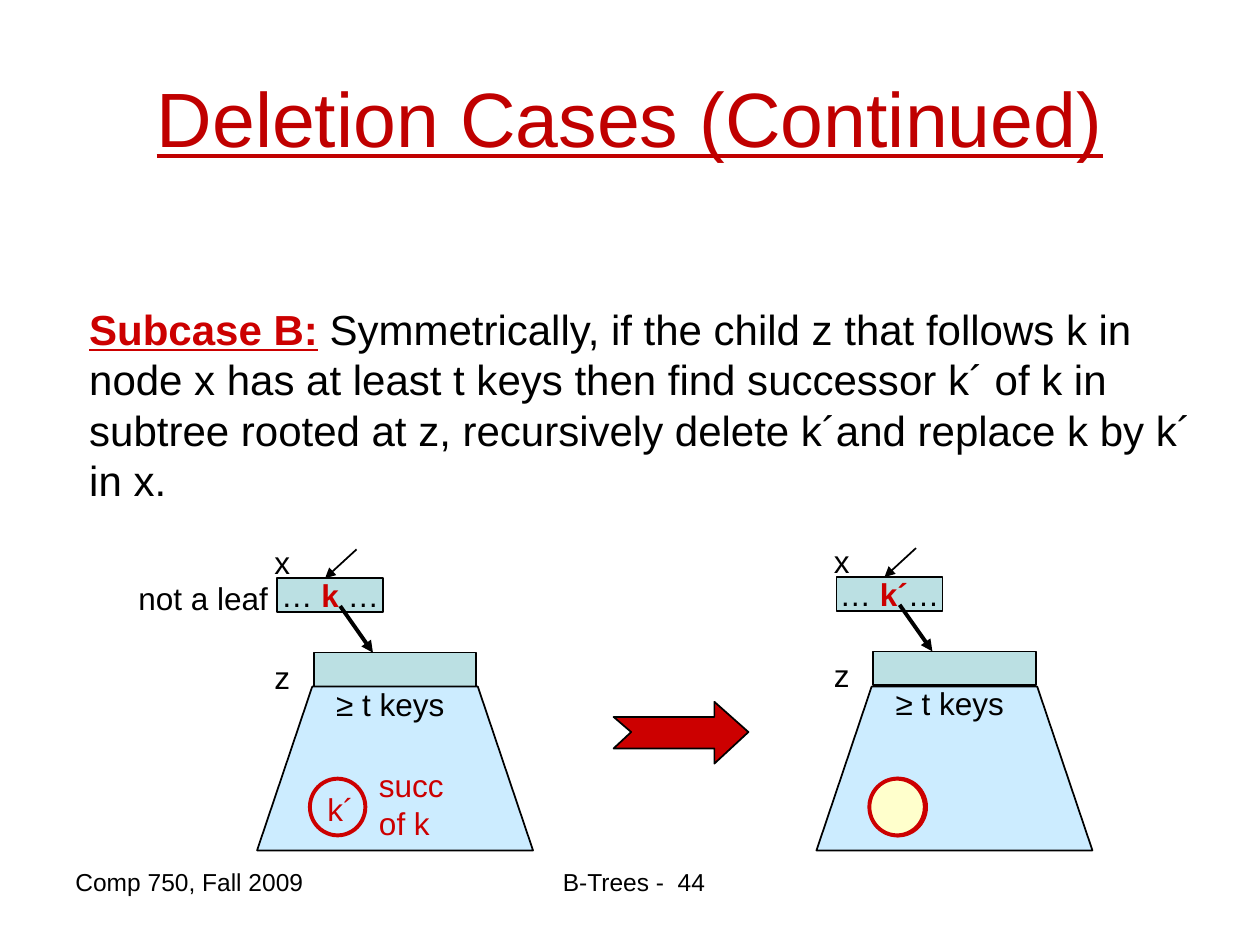
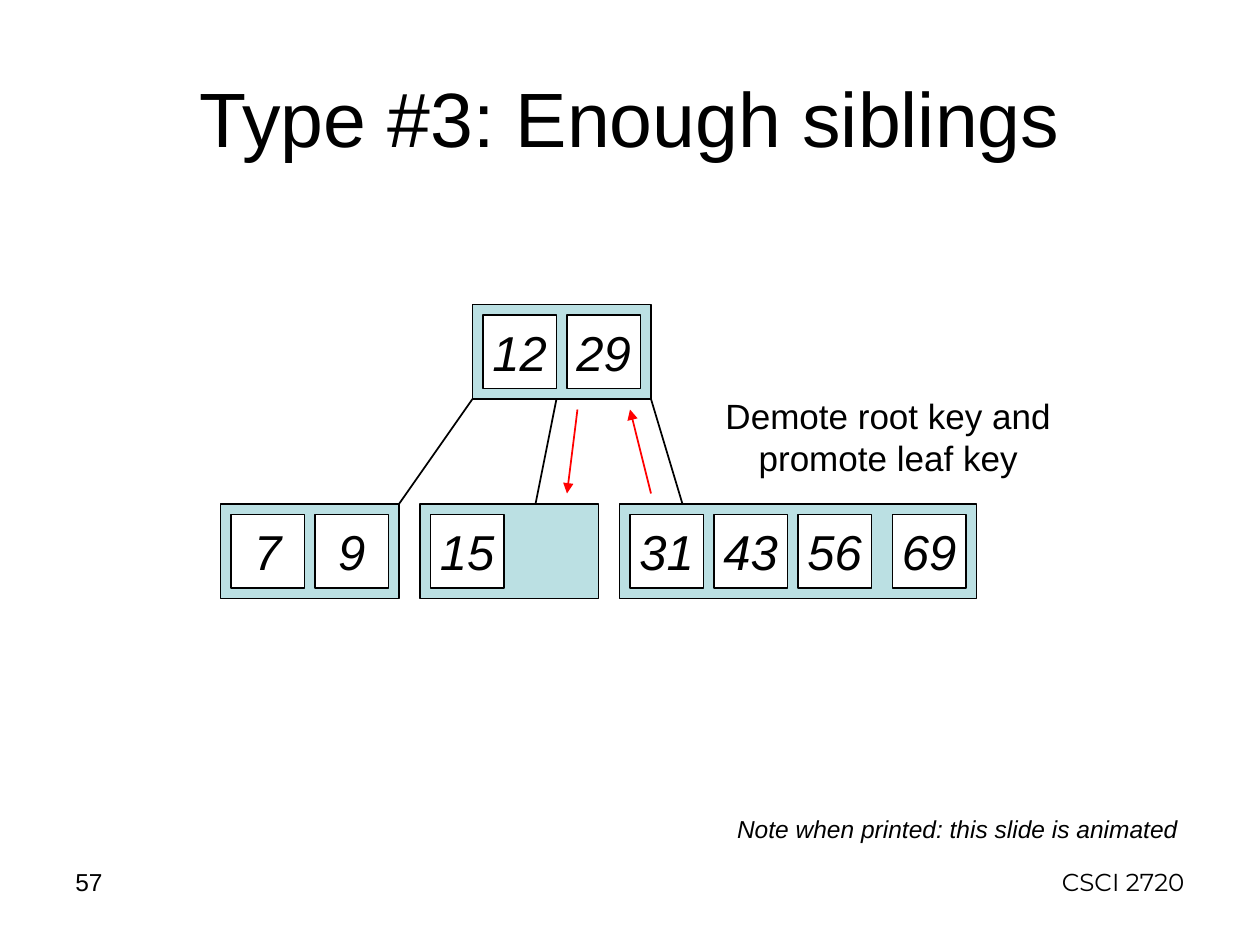
from lxml import etree
from pptx import Presentation
from pptx.dml.color import RGBColor
from pptx.enum.shapes import MSO_CONNECTOR, MSO_SHAPE
from pptx.enum.text import MSO_ANCHOR, PP_ALIGN
from pptx.oxml.ns import qn
from pptx.util import Inches, Pt

BLACK = RGBColor(0x00, 0x00, 0x00)
WHITE = RGBColor(0xFF, 0xFF, 0xFF)
CRIMSON = RGBColor(0xC0, 0x00, 0x00)
RED = RGBColor(0xCC, 0x00, 0x00)
BRIGHT = RGBColor(0xFF, 0x00, 0x00)
TEAL = RGBColor(0xBB, 0xE0, 0xE3)
SKY = RGBColor(0xCC, 0xEC, 0xFF)
CREAM = RGBColor(0xFF, 0xFF, 0xCC)
LEFT, MID, RIGHT = PP_ALIGN.LEFT, PP_ALIGN.CENTER, PP_ALIGN.RIGHT

KEY = {"color": RED, "bold": True}
CASE = [[
    ("Subcase B:", {"color": RED, "bold": True, "under": True}),
    (" Symmetrically, if the child z that follows k in node x has at least t keys "
     "then find successor k´ of k in subtree rooted at z, recursively delete k´"
     "and replace k by k´ in x.", {}),
]]
TREES = [
    (0, 0, [[(" … ", {}), ("k", KEY), (" … ", {})]]),
    (4.44, -0.01, [[(" … ", {}), ("k´", KEY), ("… ", {})]]),
]
MARKS = [
    ("x", (2.08, 4.26, 0.32, 0.4)),
    ("z", (2.08, 5.17, 0.32, 0.4)),
    ("≥ t keys", (2.57, 5.39, 1.12, 0.4)),
]
ARROW = [(4.87, 5.69), (5.67, 5.69), (5.67, 5.57), (5.94, 5.81),
         (5.67, 6.06), (5.67, 5.94), (4.87, 5.94), (5.01, 5.81)]

NODES = [
    (45, 29, 17, [("12", 0), ("29", 1)]),
    (21, 48, 17, [("7", 0), ("9", 1)]),
    (40, 48, 17, [("15", 0)]),
    (59, 48, 34, [("31", 0), ("43", 1), ("56", 2), ("69", 3.125)]),
]
EDGES = [((45, 38), (38, 48)), ((53, 38), (51, 48)), ((62, 38), (65, 48))]
MOVES = [((62, 47), (60, 39)), ((55, 39), (54, 47))]
NOTE = ["Demote root key and", "promote leaf key"]


def write(shape, text, size=18, color=BLACK, font="Arial", align=LEFT,
          anchor=MSO_ANCHOR.TOP, wrap=False, lead=None,
          bold=False, under=False, italic=False):
    frame = shape.text_frame
    frame.word_wrap = wrap
    frame.vertical_anchor = anchor
    lines = [text] if isinstance(text, str) else text
    for i, line in enumerate(lines):
        para = frame.add_paragraph() if i else frame.paragraphs[0]
        para.alignment = align
        if lead:
            para.line_spacing = Pt(size * lead)
        for part, own in [(line, {})] if isinstance(line, str) else line:
            run = para.add_run()
            run.text = part
            run.font.name = font
            run.font.size = Pt(size)
            run.font.color.rgb = own.get("color", color)
            run.font.bold = own.get("bold", bold)
            run.font.underline = own.get("under", under)
            run.font.italic = italic


def label(slide, text, box, **fmt):
    write(slide.shapes.add_textbox(*map(Inches, box)), text, **fmt)


def paint(shape, fill=None, line=BLACK, width=1):
    shape.shadow.inherit = False
    if fill is None:
        shape.fill.background()
    else:
        shape.fill.solid()
        shape.fill.fore_color.rgb = fill
    shape.line.color.rgb = line
    shape.line.width = Pt(width)
    return shape


def draw(slide, kind, box, fill=None, **pen):
    return paint(slide.shapes.add_shape(kind, *map(Inches, box)), fill, **pen)


def link(slide, start, end, color=BLACK, width=1, head=False):
    line = slide.shapes.add_connector(
        MSO_CONNECTOR.STRAIGHT, *map(Inches, (*start, *end)))
    line.line.color.rgb = color
    line.line.width = Pt(width)
    props = line._element.spPr
    if head:
        etree.SubElement(props.find(qn("a:ln")), qn("a:tailEnd"), type="triangle")
    etree.SubElement(props, qn("a:effectLst"))


def start(deck, title, **fmt):
    slide = deck.slides.add_slide(deck.slide_layouts[6])
    label(slide, title, (0.5, 0.3, 9, 1.25), size=44, align=MID,
          anchor=MSO_ANCHOR.MIDDLE, wrap=True, **fmt)
    return slide


def foot(slide, text, left, width, **fmt):
    label(slide, text, (left, 6.83, width, 0.52), size=14, wrap=True, **fmt)


def subtree(slide, dx, dy, keys):
    def move(x, y, *size):
        return (x + dx, y + dy, *size)

    rect = MSO_SHAPE.RECTANGLE
    node = draw(slide, rect, move(2.2, 4.59, 0.84, 0.27), TEAL)
    write(node, keys, align=MID, anchor=MSO_ANCHOR.MIDDLE)
    link(slide, move(2.83, 4.36), move(2.58, 4.59), head=True)
    draw(slide, rect, move(2.49, 5.18, 1.29, 0.27), TEAL)
    link(slide, move(2.7, 4.81), move(2.96, 5.18), width=2.25, head=True)
    body = draw(slide, MSO_SHAPE.FLOWCHART_MANUAL_OPERATION,
                (2.04 + dx, 5.45, 2.19, 1.3), SKY)
    body._element.spPr.find(qn("a:xfrm")).set("flipV", "1")
    for text, box in MARKS:
        label(slide, text, move(*box))


def cases(deck):
    slide = start(deck, "Deletion Cases (Continued)", color=CRIMSON, under=True)
    foot(slide, "Comp 750, Fall 2009", 0.5, 2.33)
    foot(slide, " B-Trees -  44", 3.42, 3.17, align=MID)
    label(slide, CASE, (0.61, 2.36, 9.06, 1.7), size=24, wrap=True, lead=1.2)
    for tree in TREES:
        subtree(slide, *tree)
    label(slide, "not a leaf", (1, 4.55, 1.23, 0.4))
    label(slide, "k´", (2.5, 6.22, 0.48, 0.4), color=RED)
    label(slide, ["succ", "of k"], (2.91, 6.03, 0.9, 0.7), color=RED,
          wrap=True, lead=1.2)
    for left, fill in [(2.46, None), (6.91, None), (6.9, CREAM)]:
        draw(slide, MSO_SHAPE.OVAL, (left, 6.18, 0.44, 0.45), fill,
             line=RED, width=2.25)
    dots = [(Inches(x), Inches(y)) for x, y in ARROW]
    path = slide.shapes.build_freeform(*dots[0])
    path.add_line_segments(dots[1:], close=True)
    paint(path.convert_to_shape(), RED)


def siblings(deck):
    def grid(*units):
        return tuple(u / 12 for u in units)

    slide = start(deck, "Type #3: Enough siblings")
    foot(slide, "CSCI 2720", 7.17, 2.33, font="Montserrat", align=RIGHT)
    foot(slide, "57", 0.5, 2.33)
    for ends in EDGES:
        link(slide, *(grid(*end) for end in ends))
    for left, top, width, keys in NODES:
        draw(slide, MSO_SHAPE.RECTANGLE, grid(left, top, width, 9), TEAL)
        for key, slot in keys:
            cell = draw(slide, MSO_SHAPE.RECTANGLE,
                        grid(left + 1 + 8 * slot, top + 1, 7, 7), WHITE)
            write(cell, key, size=28, italic=True, align=MID,
                  anchor=MSO_ANCHOR.MIDDLE)
    for ends in MOVES:
        link(slide, *(grid(*end) for end in ends), color=BRIGHT, head=True)
    label(slide, NOTE, (5.45, 3.08, 3.2, 0.77), size=20, align=MID,
          anchor=MSO_ANCHOR.MIDDLE, wrap=True, lead=1.2)
    label(slide, "Note when printed: this slide is animated",
          (5.75, 6.41, 3.7, 0.34), size=14, italic=True, align=MID,
          anchor=MSO_ANCHOR.MIDDLE)


def main():
    deck = Presentation()
    deck.slide_width = Inches(10)
    deck.slide_height = Inches(7.5)
    cases(deck)
    siblings(deck)
    deck.save("out.pptx")


if __name__ == "__main__":
    main()
